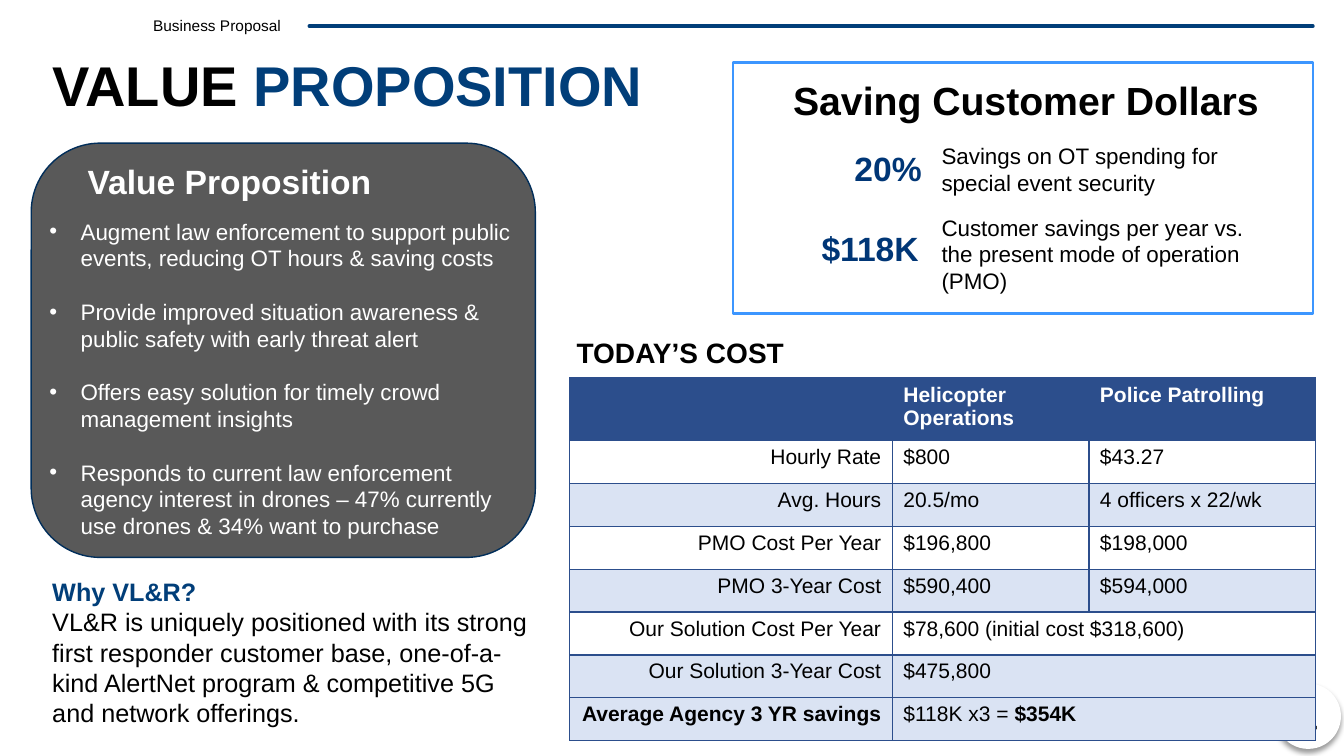
from dataclasses import dataclass
from typing import Any, NamedTuple

from lxml import etree
from pptx import Presentation
from pptx import util as u
from pptx.dml import color
from pptx.enum import shapes, text
from pptx.oxml import ns, parse_xml

PX = 9144  # EMU in one px, 100 px to the inch


@dataclass(frozen=True)
class Theme:
    font: str = "Arial"
    black: str = "000000"
    white: str = "FFFFFF"
    navy: str = "013E79"
    figure: str = "003676"
    panel: str = "595959"
    panel_line: str = "012E5A"
    frame: str = "3C96FF"
    table: str = "2C4E8C"
    band: str = "DAE3F3"
    tiny: int = 11
    cell: int = 15
    body: int = 16
    lead: int = 18
    section: int = 20
    heading: int = 24
    callout: int = 28
    title: int = 40


THEME = Theme()
RIGHT, CENTER, LEFT = text.PP_ALIGN.RIGHT, text.PP_ALIGN.CENTER, text.PP_ALIGN.LEFT


class Box(NamedTuple):
    left: int
    top: int
    width: int
    height: int

    def emu(self) -> list[int]:
        return [value * PX for value in self]


class Run(NamedTuple):
    words: str
    size: int
    color: str = THEME.black
    bold: bool = False


class Label(NamedTuple):
    box: Box
    paragraphs: list[list[Run]]
    align: Any = LEFT


class Row(NamedTuple):
    name: str
    values: list[str]
    fill: str
    bold_name: bool = False
    bold_end: str = ""


LABELS = [
    Label(Box(142, 11, 165, 29), [[Run("Business Proposal", THEME.tiny)]]),
    Label(Box(1278, 690, 39, 50), [[Run("4", THEME.heading, bold=True)]]),
    Label(Box(714, 142, 210, 60), [[Run("20%", THEME.heading, THEME.figure, True)]], RIGHT),
    Label(Box(729, 221, 192, 60), [[Run("$118K", THEME.heading, THEME.figure, True)]], RIGHT),
    Label(Box(924, 136, 333, 72),
          [[Run("Savings on OT spending for special event security", THEME.body)]]),
    Label(Box(924, 207, 333, 91),
          [[Run("Customer savings per year vs. the present mode of operation (PMO)", THEME.body)]]),
    Label(Box(730, 71, 575, 57),
          [[Run("Saving Customer Dollars", THEME.callout, bold=True)]], CENTER),
    Label(Box(77, 155, 415, 56), [[Run("Value Proposition", THEME.heading, THEME.white, True)]]),
    Label(Box(42, 567, 493, 162), [
        [Run("Why VL&R?", THEME.lead, THEME.navy, True)],
        [Run("VL&R is uniquely positioned with its strong first responder customer base, "
             "one-of-a-kind AlertNet program & competitive 5G and network offerings.", THEME.lead)],
    ]),
    Label(Box(562, 328, 275, 44), [[Run("TODAY’S COST", THEME.section, bold=True)]]),
]

BENEFITS = [
    "Augment law enforcement to support public events, reducing OT hours & saving costs",
    "Provide improved situation awareness & public safety with early threat alert",
    "Offers easy solution for timely crowd management insights",
    "Responds to current law enforcement agency interest in drones – 47% currently "
    "use drones & 34% want to purchase",
]

COST_BOX = Box(565, 375, 740, 360)
COST_COLUMNS = [320, 195, 225]
HEADER_HEIGHT = 62
COST_ROWS = [
    Row("", ["Helicopter Operations", "Police Patrolling"], THEME.table),
    Row("Hourly Rate", ["$800", "$43.27"], THEME.white),
    Row("Avg. Hours", ["20.5/mo", "4 officers x 22/wk"], THEME.band),
    Row("PMO Cost Per Year", ["$196,800", "$198,000"], THEME.white),
    Row("PMO 3-Year Cost", ["$590,400", "$594,000"], THEME.band),
    Row("Our Solution Cost Per Year", ["$78,600 (initial cost $318,600)"], THEME.white),
    Row("Our Solution 3-Year Cost", ["$475,800"], THEME.band),
    Row("Average Agency 3 YR savings", ["$118K x3 = "], THEME.band, True, "$354K"),
]


def apply(target: Any, values: dict[str, Any]) -> None:
    for name, value in values.items():
        setattr(target, name, value)


def rgb(value: str) -> color.RGBColor:
    return color.RGBColor.from_string(value)


def write(paragraph: Any, runs: list[Run], align: Any = LEFT, **spacing: Any) -> None:
    apply(paragraph, {"alignment": align, **spacing})
    for item in runs:
        run = paragraph.add_run()
        run.text = item.words
        apply(run.font, {"name": THEME.font, "size": u.Pt(item.size), "bold": item.bold})
        run.font.color.rgb = rgb(item.color)


def place(shape: Any, box: Box) -> None:
    apply(shape, dict(zip(("left", "top", "width", "height"), box.emu())))
    apply(shape.text_frame, {"word_wrap": True, "auto_size": text.MSO_AUTO_SIZE.NONE,
                             "vertical_anchor": text.MSO_ANCHOR.TOP})


def add_label(slide: Any, label: Label) -> None:
    shape = slide.shapes.add_textbox(*label.box.emu())
    place(shape, label.box)
    frame = shape.text_frame
    for index, runs in enumerate(label.paragraphs):
        write(frame.add_paragraph() if index else frame.paragraphs[0], runs, label.align)


def add_panel(slide: Any, kind: Any, box: Box, fill: str = "", line: str = "",
              width: float = 1) -> Any:
    shape = slide.shapes.add_shape(kind, *box.emu())
    shape.shadow.inherit = False
    if fill:
        shape.fill.solid()
        shape.fill.fore_color.rgb = rgb(fill)
    else:
        shape.fill.background()
    if line:
        shape.line.color.rgb = rgb(line)
        shape.line.width = u.Pt(width)
    else:
        shape.line.fill.background()
    return shape


def add_header_rule(slide: Any) -> None:
    rule = slide.shapes.add_connector(shapes.MSO_CONNECTOR.STRAIGHT,
                                      307 * PX, 26 * PX, 1302 * PX, 26 * PX)
    rule.line.color.rgb = rgb(THEME.navy)
    rule.line.width = u.Pt(2.83)
    rule.line._get_or_add_ln().set("cap", "rnd")
    etree.SubElement(rule.element.spPr, ns.qn("a:effectLst"))


def add_page_badge(slide: Any) -> None:
    badge = add_panel(slide, shapes.MSO_SHAPE.OVAL, Box(1265, 678, 65, 65), THEME.white)
    badge.element.spPr.find(ns.qn("a:effectLst")).append(parse_xml(
        f'<a:outerShdw {ns.nsdecls("a")} blurRad="{u.Pt(4)}" dist="{u.Pt(3)}" dir="5400000">'
        f'<a:srgbClr val="{THEME.black}"><a:alpha val="40000"/></a:srgbClr></a:outerShdw>'))


def fill_title(slide: Any) -> None:
    place(slide.shapes.title, Box(42, 45, 626, 77))
    write(slide.shapes.title.text_frame.paragraphs[0],
          [Run("VALUE ", THEME.title, bold=True),
           Run("PROPOSITION", THEME.title, THEME.navy, True)])


def fill_benefits(slide: Any) -> None:
    body = slide.placeholders[1]
    place(body, Box(39, 211, 484, 333))
    body.element.getparent().append(body.element)  # in front of the panel
    for index, benefit in enumerate(BENEFITS):
        frame = body.text_frame
        paragraph = frame.add_paragraph() if index else frame.paragraphs[0]
        write(paragraph, [Run(benefit, THEME.body, THEME.white)],
              space_before=u.Pt(19 if index else 0))
        properties = paragraph._p.get_or_add_pPr()
        apply_indent = {"marL": 31 * PX, "indent": -31 * PX}
        for name, value in apply_indent.items():
            properties.set(name, str(value))
        etree.SubElement(properties, ns.qn("a:buChar"), char="•")


def format_cell(cell: Any, fill: str) -> None:
    properties = cell._tc.get_or_add_tcPr()
    for side in ("lnL", "lnR", "lnT", "lnB"):
        properties.append(parse_xml(
            f'<a:{side} {ns.nsdecls("a")} w="{u.Pt(1)}"><a:solidFill>'
            f'<a:srgbClr val="{THEME.table}"/></a:solidFill></a:{side}>'))
    cell.fill.solid()
    cell.fill.fore_color.rgb = rgb(fill)
    apply(cell, {"margin_left": 11 * PX, "margin_right": 11 * PX,
                 "margin_top": 5 * PX, "margin_bottom": 5 * PX})


def add_cost_table(slide: Any) -> None:
    table = slide.shapes.add_table(len(COST_ROWS), len(COST_COLUMNS), *COST_BOX.emu()).table
    for column, width in zip(table.columns, COST_COLUMNS):
        column.width = width * PX
    row_height = (COST_BOX.height - HEADER_HEIGHT) * PX // (len(COST_ROWS) - 1)
    for index, row in enumerate(COST_ROWS):
        header = index == 0
        table.rows[index].height = row_height if index else HEADER_HEIGHT * PX
        cells = [table.cell(index, column) for column in range(len(COST_COLUMNS))]
        for cell in cells:
            format_cell(cell, row.fill)
        if len(row.values) == 1:
            cells[1].merge(cells[2])
        if row.name:
            write(cells[0].text_frame.paragraphs[0],
                  [Run(row.name, THEME.cell, bold=row.bold_name)], RIGHT)
        ink = THEME.white if header else THEME.black
        for cell, value in zip(cells[1:], row.values):
            runs = [Run(value, THEME.cell, ink, header)]
            if row.bold_end:
                runs.append(Run(row.bold_end, THEME.cell, ink, True))
            write(cell.text_frame.paragraphs[0], runs)


def main() -> None:
    presentation = Presentation()
    apply(presentation, {"slide_width": 1333 * PX, "slide_height": 750 * PX})
    slide = presentation.slides.add_slide(presentation.slide_layouts[1])
    # Header and panels
    fill_title(slide)
    add_header_rule(slide)
    add_page_badge(slide)
    add_panel(slide, shapes.MSO_SHAPE.ROUNDED_RECTANGLE, Box(31, 142, 500, 411),
              THEME.panel, THEME.panel_line)
    add_panel(slide, shapes.MSO_SHAPE.RECTANGLE, Box(727, 62, 575, 249),
              line=THEME.frame, width=1.5)
    # Text, then the table in front of the page badge
    fill_benefits(slide)
    for label in LABELS:
        add_label(slide, label)
    add_cost_table(slide)
    presentation.save("out.pptx")


if __name__ == "__main__":
    main()
